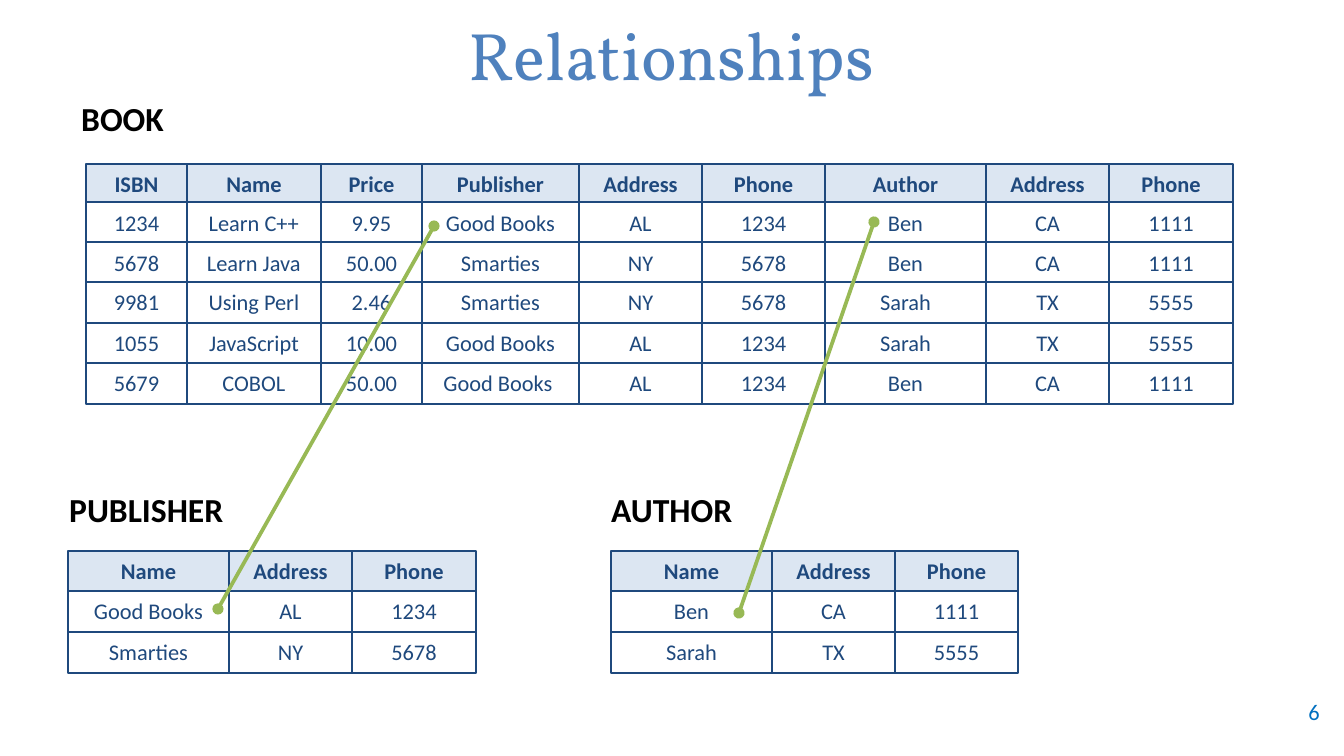
from lxml.etree import SubElement
from pptx import Presentation
from pptx.dml.color import RGBColor
from pptx.enum.shapes import MSO_CONNECTOR, MSO_SHAPE
from pptx.enum.text import MSO_ANCHOR, MSO_AUTO_SIZE, PP_ALIGN
from pptx.oxml.ns import qn
from pptx.util import Pt

PX = 914400 / 134.4
CELL_HEIGHT = 41
COLORS = {
    "title": "4F81BD",
    "heading": "000000",
    "ink": "1F497D",
    "header": "DCE6F2",
    "cell": "FFFFFF",
    "link": "98B955",
    "number": "0070C0",
}


def px(*lengths):
    return [round(length * PX) for length in lengths]


def write(frame, text, size, color, align, bold=False, font="Calibri"):
    paragraph = frame.paragraphs[0]
    paragraph.alignment = align
    run = paragraph.add_run()
    run.text = text
    run.font.name = font
    run.font.size = Pt(size)
    run.font.bold = bold
    run.font.color.rgb = RGBColor.from_string(COLORS[color])


prs = Presentation()
prs.slide_width, prs.slide_height = px(1344, 756)
slide = prs.slides.add_slide(prs.slide_layouts[5])

title = slide.shapes.title
title.left, title.top, title.width, title.height = px(11, 9, 1321, 90)
title.text_frame.vertical_anchor = MSO_ANCHOR.MIDDLE
write(title.text_frame, "Relationships", 36, "title", PP_ALIGN.CENTER, font="Vollkorn")

page_number = slide.shapes.add_textbox(*px(1243, 692, 90, 40))
page_number.text_frame.word_wrap = True
page_number.text_frame.vertical_anchor = MSO_ANCHOR.MIDDLE
write(page_number.text_frame, "6", 12, "number", PP_ALIGN.RIGHT)

headings = [("BOOK", 68, 91), ("PUBLISHER", 56, 482), ("AUTHOR", 598, 482)]
for name, left, top in headings:
    heading = slide.shapes.add_textbox(*px(left, top, 212, 54))
    heading.text_frame.word_wrap = True
    write(heading.text_frame, name, 18, "heading", PP_ALIGN.LEFT, bold=True)

book_rows = [
    ["ISBN", "Name", "Price", "Publisher", "Address", "Phone", "Author", "Address", "Phone"],
    ["1234", "Learn C++", "9.95", "Good Books", "AL", "1234", "Ben", "CA", "1111"],
    ["5678", "Learn Java", "50.00", "Smarties", "NY", "5678", "Ben", "CA", "1111"],
    ["9981", "Using Perl", "2.46", "Smarties", "NY", "5678", "Sarah", "TX", "5555"],
    ["1055", "JavaScript", "10.00", "Good Books", "AL", "1234", "Sarah", "TX", "5555"],
    ["5679", "COBOL", "50.00", "Good Books ", "AL", "1234", "Ben", "CA", "1111"],
]
publisher_rows = [
    ["Name", "Address", "Phone"],
    ["Good Books", "AL", "1234"],
    ["Smarties", "NY", "5678"],
]
author_rows = [
    ["Name", "Address", "Phone"],
    ["Ben", "CA", "1111"],
    ["Sarah", "TX", "5555"],
]
book_edges = [86, 187, 321, 422, 579, 702, 825, 986, 1109, 1233]
publisher_edges = [68, 229, 352, 476]
author_edges = [611, 772, 895, 1018]
book_tops = [164, 202, 242, 282, 323, 363]
entity_tops = [551, 591, 632]
relations = [
    (book_rows, book_edges, book_tops),
    (publisher_rows, publisher_edges, entity_tops),
    (author_rows, author_edges, entity_tops),
]
for rows, edges, tops in relations:
    for top, values in zip(tops, rows):
        is_header = top == tops[0]
        for left, right, value in zip(edges, edges[1:], values):
            cell = slide.shapes.add_shape(
                MSO_SHAPE.RECTANGLE, *px(left, top, right - left, CELL_HEIGHT)
            )
            cell.shadow.inherit = False
            cell.fill.solid()
            cell.fill.fore_color.rgb = RGBColor.from_string(COLORS["header" if is_header else "cell"])
            cell.line.color.rgb = RGBColor.from_string(COLORS["ink"])
            cell.line.width = Pt(0.75)
            cell.text_frame.word_wrap = True
            cell.text_frame.auto_size = MSO_AUTO_SIZE.SHAPE_TO_FIT_TEXT
            cell.text_frame.vertical_anchor = MSO_ANCHOR.TOP
            write(cell.text_frame, value, 12, "ink", PP_ALIGN.CENTER, bold=is_header)

links = [(874, 222, 739, 613), (434, 226, 218, 609)]
for ends in links:
    link = slide.shapes.add_connector(MSO_CONNECTOR.STRAIGHT, *px(*ends))
    link.line.color.rgb = RGBColor.from_string(COLORS["link"])
    link.line.width = Pt(2)
    outline = link.line._get_or_add_ln()
    for end in ("a:headEnd", "a:tailEnd"):
        SubElement(outline, qn(end), type="oval")
    SubElement(link._element.spPr, qn("a:effectLst"))

prs.save("out.pptx")
